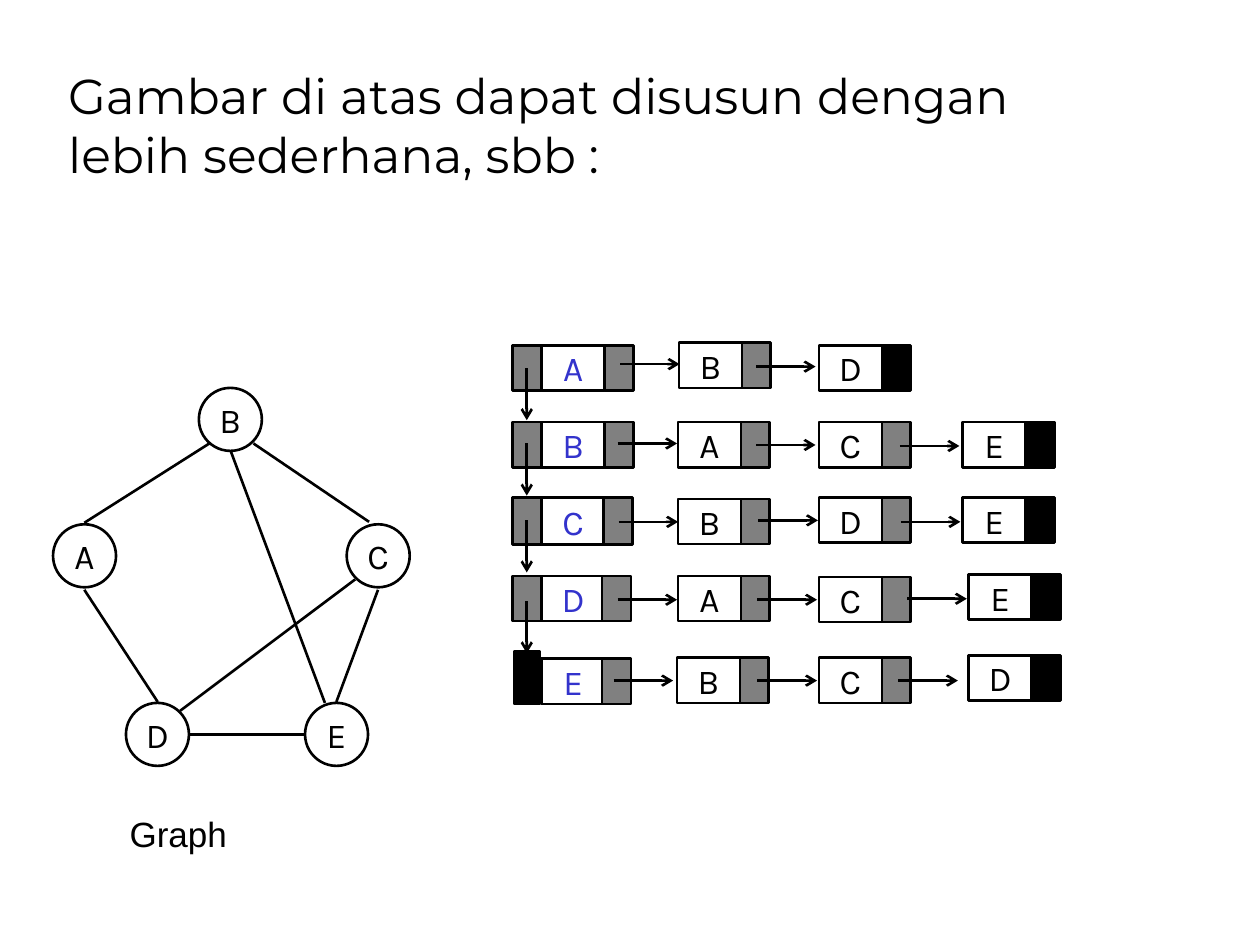
from lxml.etree import SubElement
from pptx import Presentation
from pptx.dml.color import RGBColor
from pptx.enum.shapes import MSO_CONNECTOR, MSO_SHAPE
from pptx.enum.text import MSO_ANCHOR, PP_ALIGN
from pptx.oxml.ns import qn
from pptx.util import Cm, Pt

COLORS = {"ink": "000000", "header": "3333CC", "pointer": "808080", "end": "000000"}

CELL_WIDTH, CELL_HEIGHT, POINTER_WIDTH = 1.27, 0.91, 0.58
HEADER_LEFT, DOWN_LEFT, DOWN_X = 10.92, 10.33, 10.62
DOWN_LENGTH, LINK_LENGTH = 1.05, 1.2
VERTEX_SIZE = 1.27

ADJACENCY = [
    ("A", 6.96, 0.91, 12.19, [("B", 13.69, 6.91, 12.5, 7.34), ("D", 16.51, 6.96, 15.24, 7.39)]),
    ("B", 8.51, 0.91, 12.19, [("A", 13.67, 8.51, 12.45, 8.94), ("C", 16.51, 8.51, 15.24, 8.97),
                              ("E", 19.41, 8.51, 18.14, 8.99)]),
    ("C", 10.03, 0.95, 12.17, [("B", 13.67, 10.06, 12.47, 10.52), ("D", 16.51, 10.03, 15.29, 10.49),
                               ("E", 19.41, 10.03, 18.16, 10.52)]),
    ("D", 11.61, 0.91, 12.14, [("A", 13.67, 11.61, 12.45, 12.09), ("C", 16.51, 11.63, 15.27, 12.09),
                               ("E", 19.53, 11.58, 18.29, 12.07)]),
    ("E", 13.28, 0.91, 12.14, [("B", 13.65, 13.26, 12.37, 13.72), ("C", 16.51, 13.26, 15.27, 13.72),
                               ("D", 19.53, 13.21, 18.11, 13.72)]),
]
DOWN_STARTS = [7.42, 8.94, 10.49, 12.12]

VERTICES = {"B": (4.01, 7.82), "A": (1.07, 10.57), "C": (6.99, 10.57),
            "D": (2.54, 14.17), "E": (6.15, 14.17)}
EDGES = [
    (4.22, 8.94, 1.7, 10.54),
    (1.7, 11.89, 3.18, 14.15),
    (3.63, 14.33, 7.16, 11.68),
    (3.84, 14.81, 6.12, 14.81),
    (7.62, 11.89, 6.78, 14.15),
    (5.11, 8.94, 7.44, 10.52),
    (6.55, 14.17, 4.65, 9.09),
]


class SlideBuilder:
    def __init__(self, slide):
        self.slide = slide
        self.font, self.font_size, self.line_width = "Karla", 20, 1.5

    def color(self, name):
        return RGBColor.from_string(COLORS[name])

    def set_text(self, text_frame, text, color="ink", font=None, size=None, align=PP_ALIGN.CENTER):
        text_frame.text = text
        paragraph = text_frame.paragraphs[0]
        paragraph.alignment = align
        for run in paragraph.runs:
            run.font.name = font or self.font
            run.font.size = Pt(size or self.font_size)
            run.font.color.rgb = self.color(color)

    def title(self, text, left, top, width, height):
        shape = self.slide.shapes.title
        shape.left, shape.top, shape.width, shape.height = map(Cm, (left, top, width, height))
        shape.text_frame.vertical_anchor = MSO_ANCHOR.BOTTOM
        self.set_text(shape.text_frame, text, font="Montserrat", size=28, align=PP_ALIGN.LEFT)

    def caption(self, text, left, top, width, height):
        shape = self.slide.shapes.add_textbox(*map(Cm, (left, top, width, height)))
        shape.text_frame.word_wrap = True
        self.set_text(shape.text_frame, text, font="Arial")

    def box(self, left, top, width, height, text="", fill=None, color="ink", kind=MSO_SHAPE.RECTANGLE):
        shape = self.slide.shapes.add_shape(kind, *map(Cm, (left, top, width, height)))
        shape.shadow.inherit = False
        shape.line.color.rgb = self.color("ink")
        shape.line.width = Pt(self.line_width)
        if fill:
            shape.fill.solid()
            shape.fill.fore_color.rgb = self.color(fill)
        else:
            shape.fill.background()
        if text:
            shape.text_frame.word_wrap = False
            shape.text_frame.vertical_anchor = MSO_ANCHOR.MIDDLE
            self.set_text(shape.text_frame, text, color)

    def line(self, x1, y1, x2, y2, arrow=False):
        connector = self.slide.shapes.add_connector(MSO_CONNECTOR.STRAIGHT, *map(Cm, (x1, y1, x2, y2)))
        connector.line.color.rgb = self.color("ink")
        connector.line.width = Pt(self.line_width)
        if arrow:
            SubElement(connector.get_or_add_ln(), qn("a:tailEnd"), type="arrow")
        SubElement(connector.element.spPr, qn("a:effectLst"))

    def header(self, label, top, height, pointer_left, last):
        self.box(HEADER_LEFT, top, CELL_WIDTH, height, label, color="header")
        self.box(pointer_left, top, POINTER_WIDTH, height, fill="pointer")
        if last:
            self.box(10.36, top - 0.15, 0.53, height + 0.15, fill="end")
        else:
            self.box(DOWN_LEFT, top, HEADER_LEFT - DOWN_LEFT, height, fill="pointer")

    def node(self, label, left, top, last):
        self.box(left, top, CELL_WIDTH, CELL_HEIGHT, label)
        self.box(left + CELL_WIDTH, top, POINTER_WIDTH, CELL_HEIGHT, fill="end" if last else "pointer")


def main():
    presentation = Presentation()
    presentation.slide_width, presentation.slide_height = Cm(25.4), Cm(19.05)
    builder = SlideBuilder(presentation.slides.add_slide(presentation.slide_layouts[5]))

    builder.title("Gambar di atas dapat disusun dengan lebih sederhana, sbb :", 1.12, 0.64, 21.59, 3.18)

    for label, top, height, pointer_left, nodes in ADJACENCY:
        builder.header(label, top, height, pointer_left, last=label == ADJACENCY[-1][0])
        for index, (name, left, node_top, _, _) in enumerate(nodes, 1):
            builder.node(name, left, node_top, last=index == len(nodes))
        for _, _, _, arrow_x, arrow_y in nodes:
            builder.line(arrow_x, arrow_y, arrow_x + LINK_LENGTH, arrow_y, arrow=True)
    for down_y in DOWN_STARTS:
        builder.line(DOWN_X, down_y, DOWN_X, down_y + DOWN_LENGTH, arrow=True)

    for label, (left, top) in VERTICES.items():
        builder.box(left, top, VERTEX_SIZE, VERTEX_SIZE, label, kind=MSO_SHAPE.OVAL)
    for edge in EDGES:
        builder.line(*edge)
    builder.caption("Graph", 1.27, 16.26, 4.65, 1.12)

    presentation.save("out.pptx")


if __name__ == "__main__":
    main()
